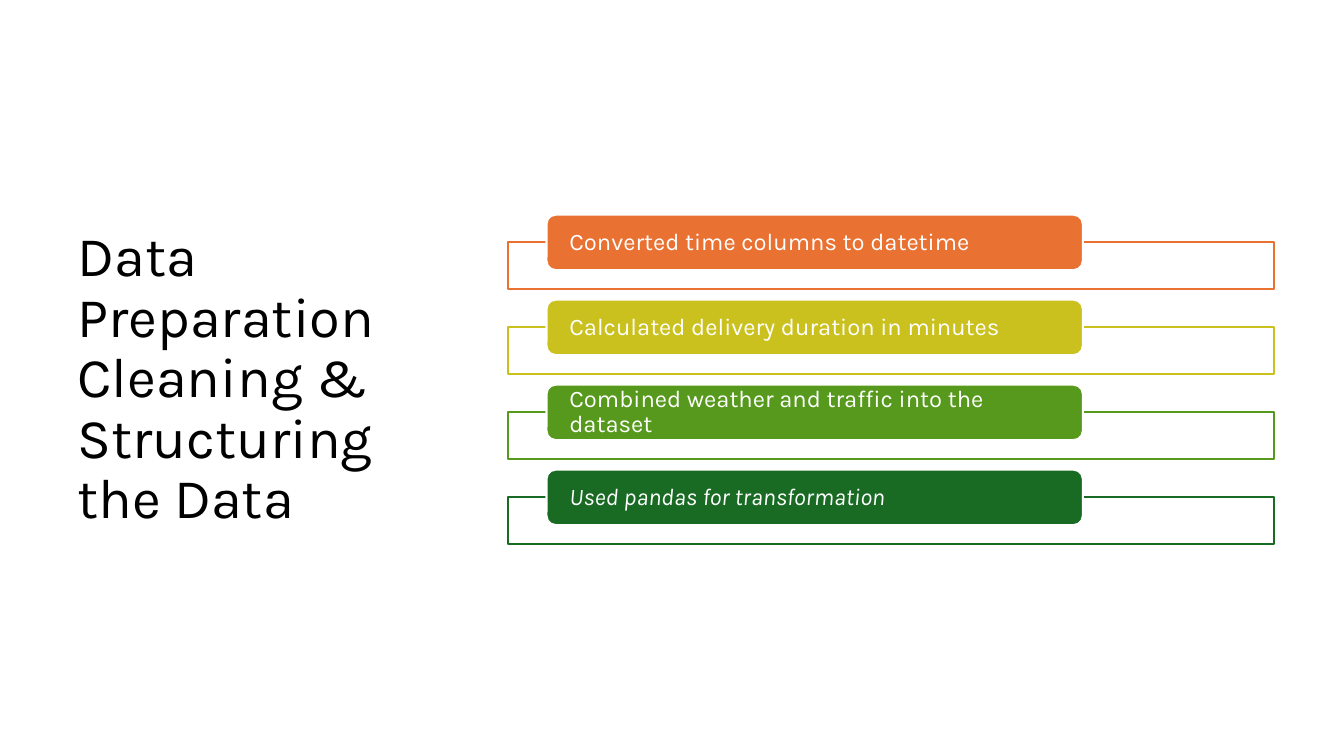
from lxml import etree
from pptx import Presentation
from pptx.dml.color import RGBColor
from pptx.enum.shapes import MSO_SHAPE
from pptx.enum.text import MSO_ANCHOR, PP_ALIGN
from pptx.oxml.ns import qn
from pptx.util import Inches, Pt

RECTANGLE = MSO_SHAPE.RECTANGLE
ROUNDED = MSO_SHAPE.ROUNDED_RECTANGLE
MIDDLE = MSO_ANCHOR.MIDDLE
LEFT = PP_ALIGN.LEFT

# Content
FONT = "Karla"
COLORS = {
    "white": "FFFFFF",
    "black": "000000",
    "orange": "E97132",
    "yellow": "CBC11E",
    "green": "56991D",
    "dark green": "196B24",
}
TITLE = "Data Preparation\nCleaning & Structuring the Data"
STEPS = [  # text, color, italic
    ("Converted time columns to datetime", "orange", False),
    ("Calculated delivery duration in minutes", "yellow", False),
    ("Combined weather and traffic into the dataset", "green", False),
    ("Used pandas for transformation", "dark green", True),
]

# Layout in inches: left, top, width, height
TITLE_BOX = (0.67, 0.6, 3.82, 6.33)
FRAME_BOX = (5.04, 2.4, 7.6, 0.47)
LABEL_BOX = (5.42, 2.13, 5.32, 0.55)
STEP_PITCH = 0.843
LABEL_INSET = 0.2


def color(name):
    return RGBColor.from_string(COLORS[name])


def place(box, row=0):
    left, top, width, height = box
    return [Inches(n) for n in (left, top + row * STEP_PITCH, width, height)]


def write(shape, text, size, color_name, italic=False):
    text_frame = shape.text_frame
    text_frame.word_wrap = True
    text_frame.vertical_anchor = MIDDLE
    paragraph = text_frame.paragraphs[0]
    paragraph.text = text
    paragraph.alignment = LEFT
    paragraph.line_spacing = 0.9
    for run in paragraph.runs:
        run.font.name = FONT
        run.font.size = Pt(size)
        run.font.italic = italic
        run.font.color.rgb = color(color_name)


def add_box(slide, kind, box, row, fill, line):
    shape = slide.shapes.add_shape(kind, *place(box, row))
    shape.shadow.inherit = False
    shape.fill.solid()
    shape.fill.fore_color.rgb = color(fill)
    shape.line.color.rgb = color(line)
    shape.line.width = Pt(1.5)
    return shape


def set_opacity(shape, percent):
    fill_color = shape.element.spPr.find(qn("a:solidFill"))[0]
    etree.SubElement(fill_color, qn("a:alpha"), val=str(percent * 1000))


def main():
    presentation = Presentation()
    presentation.slide_width = Inches(13.33)
    presentation.slide_height = Inches(7.5)
    slide = presentation.slides.add_slide(presentation.slide_layouts[6])

    # Title
    title = slide.shapes.add_textbox(*place(TITLE_BOX))
    write(title, TITLE, 40, "black")

    # Steps: an outlined frame with a label over its top edge
    for row, (text, color_name, italic) in enumerate(STEPS):
        frame = add_box(slide, RECTANGLE, FRAME_BOX, row, "white", color_name)
        set_opacity(frame, 90)
        label = add_box(slide, ROUNDED, LABEL_BOX, row, color_name, "white")
        text_frame = label.text_frame
        text_frame.margin_left = text_frame.margin_right = Inches(LABEL_INSET)
        text_frame.margin_top = text_frame.margin_bottom = 0
        write(label, text, 17, "white", italic)

    presentation.save("out.pptx")


if __name__ == "__main__":
    main()
